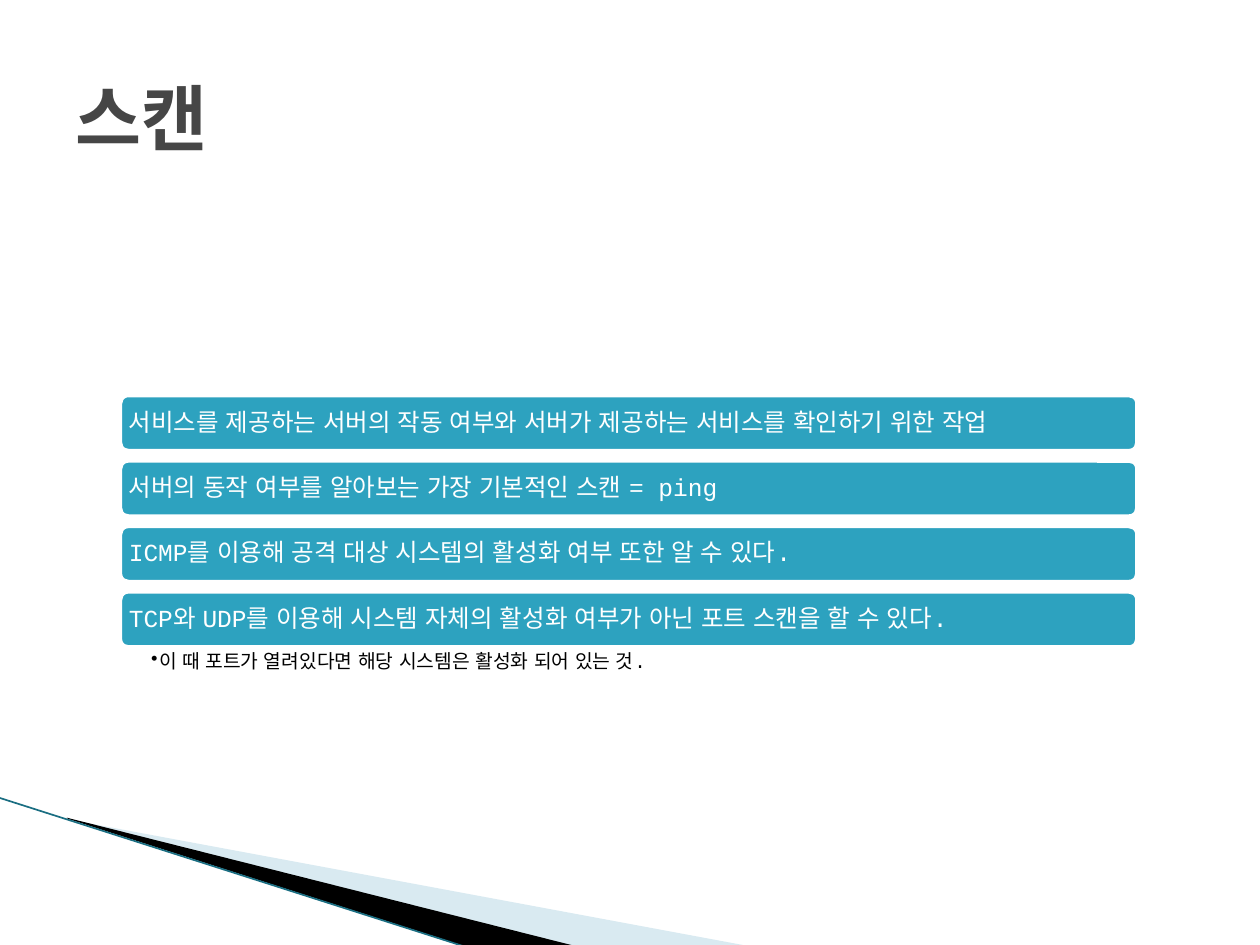
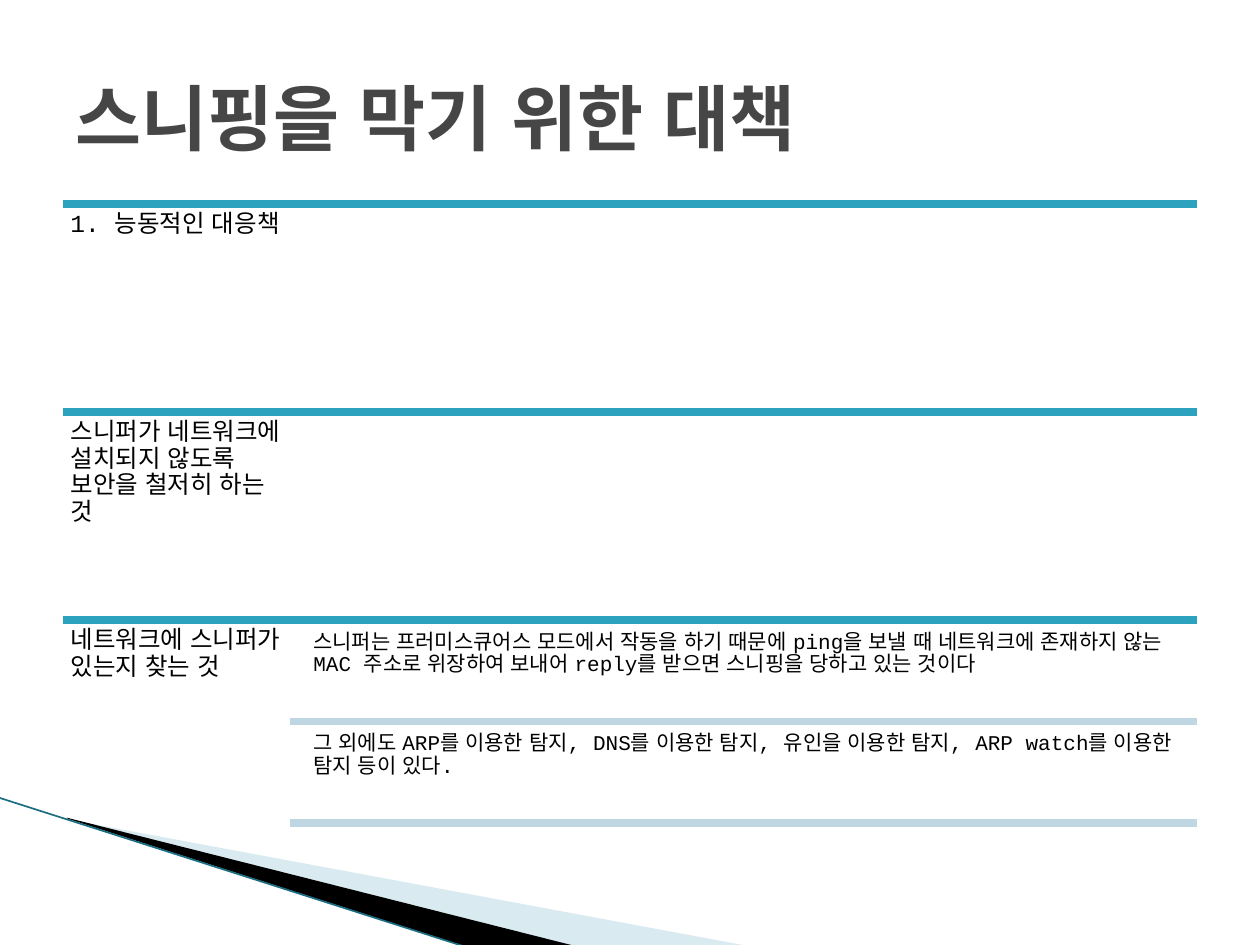
from lxml.etree import SubElement
from pptx import Presentation
from pptx.dml.color import RGBColor
from pptx.enum.lang import MSO_LANGUAGE_ID
from pptx.enum.shapes import MSO_CONNECTOR, MSO_SHAPE
from pptx.enum.text import MSO_ANCHOR, PP_ALIGN
from pptx.oxml.ns import qn
from pptx.util import Pt

SCAN = "스캔"
BARS = [
    "서비스를 제공하는 서버의 작동 여부와 서버가 제공하는 서비스를 확인하기 위한 작업",
    "서버의 동작 여부를 알아보는 가장 기본적인 스캔 = ping",
    "ICMP를 이용해 공격 대상 시스템의 활성화 여부 또한 알 수 있다.",
    "TCP와 UDP를 이용해 시스템 자체의 활성화 여부가 아닌 포트 스캔을 할 수 있다.",
]
NOTE = "이 때 포트가 열려있다면 해당 시스템은 활성화 되어 있는 것."
DEFENCE = "스니핑을 막기 위한 대책"
ROWS = [
    ("1. 능동적인 대응책", []),
    ("스니퍼가 네트워크에 설치되지 않도록 보안을 철저히 하는 것", []),
    ("네트워크에 스니퍼가 있는지 찾는 것", [
        "스니퍼는 프러미스큐어스 모드에서 작동을 하기 때문에 ping을 보낼 때 네트워크에 존재하지 않는 "
        "MAC 주소로 위장하여 보내어 reply를 받으면 스니핑을 당하고 있는 것이다",
        "그 외에도 ARP를 이용한 탐지, DNS를 이용한 탐지, 유인을 이용한 탐지, "
        "ARP watch를 이용한 탐지 등이 있다.",
    ]),
]

FONT = "Courier New"
WHITE = RGBColor(0xFF, 0xFF, 0xFF)
BLACK = RGBColor(0, 0, 0)
GREY = RGBColor(0x46, 0x46, 0x46)
TEAL = RGBColor(0x2D, 0xA2, 0xBF)
PALE = RGBColor(0xBE, 0xD7, 0xE2)
MIST = RGBColor(0xD9, 0xEA, 0xF1)
DEEP = RGBColor(0x1A, 0x6E, 0x82)
THICK = 4.33
WEDGES = [
    (MIST, [(39.6, 468.4), (428.4, 540.7), (328.3, 540.7), (39.6, 468)]),
    (BLACK, [(38.2, 467.3), (329, 540.7), (267.8, 541.4), (38.9, 468)]),
]


def style(para, size, color, bold=False):
    font = para.font
    font.name, font.size, font.bold = FONT, Pt(size), bold
    font.color.rgb = color
    font.language_id = MSO_LANGUAGE_ID.KOREAN
    para.alignment = PP_ALIGN.LEFT


def write(shape, text, size, color, pads, anchor=MSO_ANCHOR.TOP):
    frame = shape.text_frame
    frame.word_wrap = True
    frame.vertical_anchor = anchor
    (frame.margin_left, frame.margin_top,
     frame.margin_right, frame.margin_bottom) = map(Pt, pads)
    para = frame.paragraphs[0]
    para.text = text
    para.line_spacing = 0.9
    style(para, size, color)
    return para


def label(slide, text, box, size, pads):
    shape = slide.shapes.add_textbox(*map(Pt, box))
    return write(shape, text, size, BLACK, pads)


def rule(slide, ends, color, width):
    line = slide.shapes.add_connector(MSO_CONNECTOR.STRAIGHT, *map(Pt, ends))
    line.line.color.rgb = color
    line.line.width = Pt(width)
    SubElement(line._element.spPr, qn("a:effectLst"))


def start(deck, text):
    slide = deck.slides.add_slide(deck.slide_layouts[5])
    for color, points in WEDGES:
        first, *rest = [(Pt(x), Pt(y)) for x, y in points]
        pen = slide.shapes.build_freeform(*first)
        pen.add_line_segments(rest)
        wedge = pen.convert_to_shape()
        wedge.shadow.inherit = False
        wedge.fill.solid()
        wedge.fill.fore_color.rgb = color
        wedge.line.fill.background()
    rule(slide, (-0.7, 455.8, 267.1, 541.4), DEEP, 0.95)
    title = slide.shapes.title
    title.left, title.top, title.width, title.height = map(Pt, (36, 21.6, 648, 90))
    title.text_frame.text = text
    title.text_frame.vertical_anchor = MSO_ANCHOR.MIDDLE
    style(title.text_frame.paragraphs[0], 41, GREY, True)
    return slide


def scan(deck):
    slide = start(deck, SCAN)
    left, top, width, height, step = 67.7, 224.9, 583.2, 33.8, 37.4
    for i, text in enumerate(BARS):
        bar = slide.shapes.add_shape(
            MSO_SHAPE.ROUNDED_RECTANGLE,
            *map(Pt, (left, top + i * step, width, height)))
        bar.shadow.inherit = False
        bar.fill.solid()
        bar.fill.fore_color.rgb = TEAL
        bar.line.color.rgb = WHITE
        bar.line.width = Pt(THICK)
        write(bar, text, 14, WHITE, [4.3] * 4, MSO_ANCHOR.MIDDLE)
    base = top + (len(BARS) - 1) * step + height
    para = label(slide, NOTE, (left, base, width, 20.9), 11, (18.7, 1.4, 7.9, 1.4))
    props = para._p.get_or_add_pPr()
    props.set("marL", str(Pt(4.5)))
    props.set("indent", str(Pt(-4.5)))
    bullet = props.makeelement(qn("a:buChar"), {"char": "•"})
    props.find(qn("a:defRPr")).addprevious(bullet)


def defence(deck):
    slide = start(deck, DEFENCE)
    left, right, split, top, height = 36, 684, 165.6, 116.6, 118.8
    gap, deep, step = 2.8, 55.4, 58
    for i, (head, items) in enumerate(ROWS):
        y = top + i * height
        rule(slide, (left, y, right, y), TEAL, THICK)
        label(slide, head, (left, y, split - left, height), 14, [4.3] * 4)
        for j, item in enumerate(items):
            low = y + (j + 1) * step
            label(slide, item, (175.5, low - step + gap, 509, deep), 12, [3.6] * 4)
            rule(slide, (split, low, right, low), PALE, THICK)


def main():
    deck = Presentation()
    deck.slide_width, deck.slide_height = Pt(720), Pt(540)
    scan(deck)
    defence(deck)
    deck.save("out.pptx")


if __name__ == "__main__":
    main()
